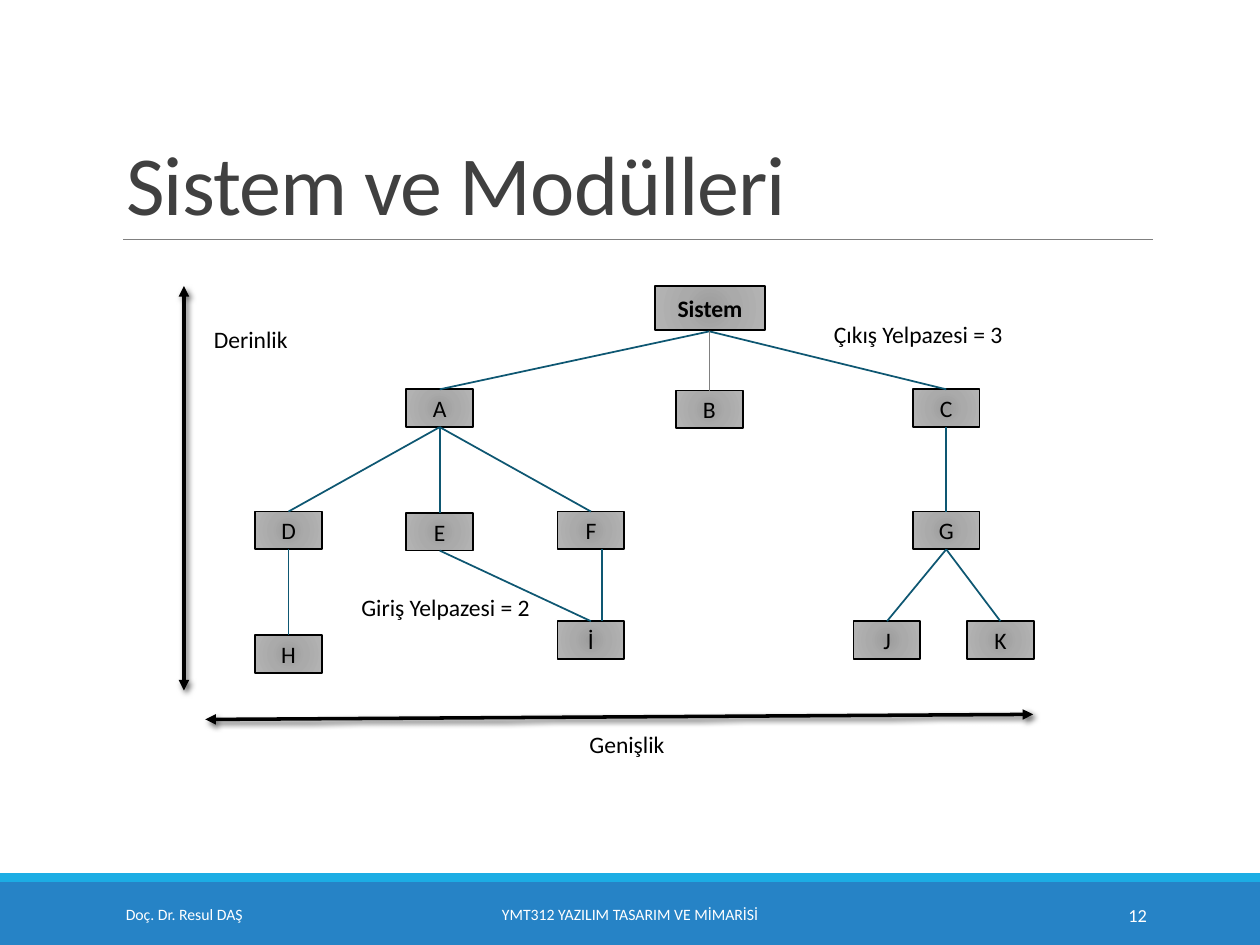
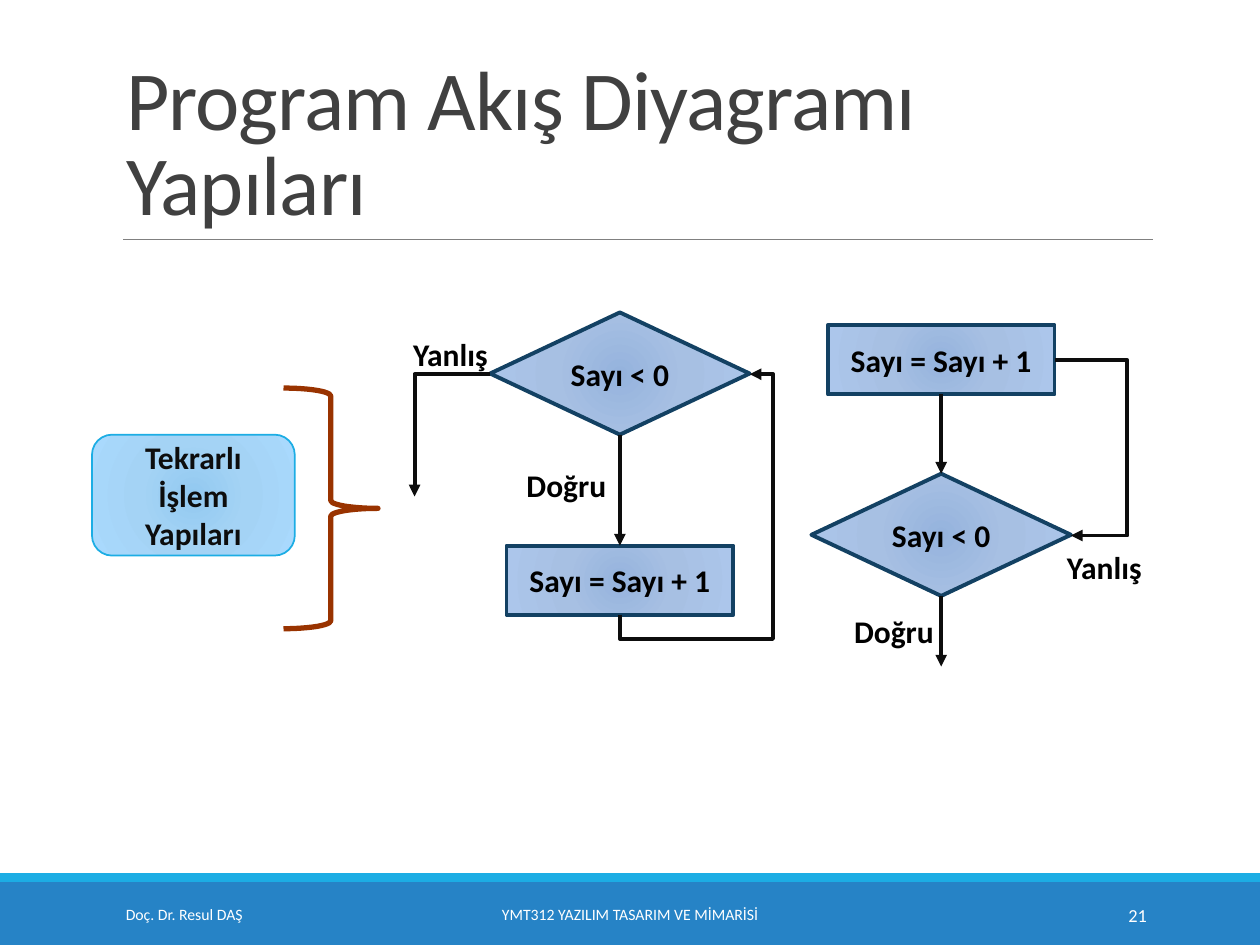
from lxml.etree import SubElement
from pptx import Presentation
from pptx.dml.color import RGBColor
from pptx.enum.shapes import MSO_CONNECTOR as Link, MSO_SHAPE as Shape
from pptx.enum.text import MSO_ANCHOR as Anchor, MSO_AUTO_SIZE as AutoSize, PP_ALIGN as Align
from pptx.oxml.ns import qn
from pptx.util import Inches, Pt

COLORS = {
    "band": "2683C6", "accent": "1CADE4", "rule": "808080", "title": "404040",
    "white": "FFFFFF", "black": "000000", "ink": "0D0D0D", "edge": "0E5772",
    "flow": "134163", "brace": "993300",
}
GRADIENTS = {
    "gray": ("9C9C9C", "AAAAAA", "B4B4B4"),
    "blue": ("95B3DD", "A7C0E3", "ACC6EB"),
    "sky": ("92C9F0", "A4D3F5", "A9D9FD"),
}
STOPS = (0, 45, 100)
FONT = "Calibri"
TITLE_ONLY = 5


def inches(*lengths):
    return [Inches(length) for length in lengths]


def add_xml(parent, tag, **attributes):
    return SubElement(parent, qn(tag), {name: str(value) for name, value in attributes.items()})


class LessonDeck:
    def __init__(self):
        self.deck = Presentation()
        self.deck.slide_width, self.deck.slide_height = inches(10, 7.5)
        self.page = None

    def color(self, name):
        return RGBColor.from_string(COLORS[name])

    def new_page(self, title, number):
        self.page = self.deck.slides.add_slide(self.deck.slide_layouts[TITLE_ONLY])
        self.shape(Shape.RECTANGLE, (0, 7, 10, 0.5), "band")
        self.shape(Shape.RECTANGLE, (0, 6.93, 10, 0.07), "accent")
        self.line((0.98, 1.9), (9.15, 1.9), "rule", 0.5)
        self.title(title)
        self.footer("Doç. Dr. Resul DAŞ", 0.9, 2.03, Align.LEFT)
        self.footer("YMT312 YAZILIM TASARIM VE MİMARİSİ", 3.02, 3.96, Align.CENTER)
        self.footer(str(number), 8.12, 1.08, Align.RIGHT, 10.5)

    def add_text(self, frame, text, size, color="black", bold=False, align=Align.LEFT):
        para = frame.paragraphs[0]
        para.alignment = align
        span = para.add_run()
        span.text = text
        span.font.name = FONT
        span.font.size = Pt(size)
        span.font.bold = bold
        span.font.color.rgb = self.color(color)
        return para, span

    def title(self, text):
        box = self.page.shapes.title
        box.left, box.top, box.width, box.height = inches(0.9, 0.31, 8.25, 1.59)
        frame = box.text_frame
        frame.auto_size = AutoSize.NONE
        frame.word_wrap = True
        frame.vertical_anchor = Anchor.BOTTOM
        para, span = self.add_text(frame, text, 48, "title")
        para.line_spacing = 0.85
        span.font._element.set("spc", "-50")

    def footer(self, text, left, width, align, size=9):
        box = self.page.shapes.add_textbox(*inches(left, 7.06, width, 0.4))
        frame = box.text_frame
        frame.word_wrap = True
        frame.vertical_anchor = Anchor.MIDDLE
        self.add_text(frame, text, size, "white", align=align)

    def label(self, text, left, top, width, height, size, bold=False):
        box = self.page.shapes.add_textbox(*inches(left, top, width, height))
        frame = box.text_frame
        frame.word_wrap = False
        frame.auto_size = AutoSize.SHAPE_TO_FIT_TEXT
        self.add_text(frame, text, size, bold=bold)

    def shape(self, kind, place, fill=None, outline=None, weight=1.0):
        shape = self.page.shapes.add_shape(kind, *inches(*place))
        shape.shadow.inherit = False
        if fill in GRADIENTS:
            self.radial_fill(shape, GRADIENTS[fill])
        elif fill:
            shape.fill.solid()
            shape.fill.fore_color.rgb = self.color(fill)
        else:
            shape.fill.background()
        if outline:
            shape.line.color.rgb = self.color(outline)
            shape.line.width = Pt(weight)
        else:
            shape.line.fill.background()
        return shape

    def radial_fill(self, shape, shades):
        shape.fill.gradient()
        gradient = shape._element.spPr.find(qn("a:gradFill"))
        for child in list(gradient):
            gradient.remove(child)
        stops = add_xml(gradient, "a:gsLst")
        for position, shade in zip(STOPS, shades):
            stop = add_xml(stops, "a:gs", pos=position * 1000)
            add_xml(stop, "a:srgbClr", val=shade)
        circle = add_xml(gradient, "a:path", path="circle")
        add_xml(circle, "a:fillToRect", **dict.fromkeys("ltrb", 100000))

    def block(self, kind, place, text, fill, outline, weight, size, color="black", bold=True):
        shape = self.shape(kind, place, fill, outline, weight)
        frame = shape.text_frame
        frame.word_wrap = True
        frame.vertical_anchor = Anchor.MIDDLE
        self.add_text(frame, text, size, color, bold, Align.CENTER)

    def line(self, start, end, color, weight, ends=(), shadow=False, kind=Link.STRAIGHT):
        line = self.page.shapes.add_connector(kind, *inches(*start, *end))
        line.line.color.rgb = self.color(color)
        line.line.width = Pt(weight)
        properties = line._element.spPr
        for end_name in ends:
            add_xml(properties.find(qn("a:ln")), f"a:{end_name}End", type="triangle")
        effects = add_xml(properties, "a:effectLst")
        if shadow:
            outer = add_xml(effects, "a:outerShdw", blurRad=Pt(3), dist=Pt(2),
                            dir=45 * 60000, algn="tl", rotWithShape=0)
            add_xml(add_xml(outer, "a:srgbClr", val=COLORS["black"]), "a:alpha", val=60000)
        return line

    def span_arrow(self, start, end):
        self.line(start, end, "black", 2, ("head", "tail"), shadow=True)

    def flow_arrow(self, start, end):
        self.line(start, end, "ink", 2.25, ("tail",))

    def bent_arrow(self, place, bends, turn=0, flips="", adjust=()):
        left, top, width, height = place
        arrow = self.line((left, top), (left + width, top + height), "ink", 2.25,
                          ("tail",), kind=Link.ELBOW)
        properties = arrow._element.spPr
        frame = properties.find(qn("a:xfrm"))
        frame.set("rot", str(turn * 60000))
        for flip in flips:
            frame.set(f"flip{flip}", "1")
        geometry = properties.find(qn("a:prstGeom"))
        geometry.set("prst", f"bentConnector{bends}")
        guides = geometry.find(qn("a:avLst"))
        for index, value in enumerate(adjust, 1):
            add_xml(guides, "a:gd", name=f"adj{index}", fmla=f"val {round(value * 100000)}")


def module_tree(deck):
    deck.new_page("Sistem ve Modülleri", 12)
    node_width, node_height = 0.53, 0.3
    modules = {
        "A": (3.49, 3.09), "D": (2.29, 4.06), "E": (3.49, 4.07), "F": (4.69, 4.06),
        "H": (2.29, 5.04), "İ": (4.69, 4.93), "B": (5.63, 3.1), "C": (7.51, 3.09),
        "G": (7.51, 4.06), "J": (7.04, 4.93), "K": (7.94, 4.93),
    }
    deck.block(Shape.RECTANGLE, (5.2, 2.27, 0.87, 0.35), "Sistem", "gray", "black", 1, 13.5)
    for name, (center, top) in modules.items():
        place = (center - node_width / 2, top, node_width, node_height)
        deck.block(Shape.RECTANGLE, place, name, "gray", "black", 1, 13.5, bold=False)

    system_foot = (5.63, 2.63)
    for name in "AC":
        deck.line(system_foot, modules[name], "edge", 1)
    deck.line(system_foot, modules["B"], "rule", 0.5)
    for parent, children in {"A": "DEF", "D": "H", "E": "İ", "C": "G", "G": "JK"}.items():
        center, top = modules[parent]
        for child in children:
            deck.line((center, top + node_height), modules[child], "edge", 1)
    deck.line((4.78, 4.36), (4.78, 4.93), "edge", 1)

    deck.span_arrow((1.46, 2.27), (1.46, 5.48))
    deck.span_arrow((1.63, 5.71), (8.2, 5.67))
    for text, left, top, width in (
        ("Derinlik", 1.6, 2.53, 0.8), ("Genişlik", 4.58, 5.74, 0.81),
        ("Çıkış Yelpazesi = 3", 6.52, 2.49, 1.56), ("Giriş Yelpazesi = 2", 2.77, 4.66, 1.56),
    ):
        deck.label(text, left, top, width, 0.33, 13.5)


def loop_flowcharts(deck):
    deck.new_page("Program Akış Diyagramı Yapıları", 21)
    deck.block(Shape.ROUNDED_RECTANGLE, (0.73, 3.45, 1.61, 0.96), "Tekrarlı İşlem Yapıları",
               "sky", "accent", 1, 18, "ink")
    deck.shape(Shape.RIGHT_BRACE, (2.25, 3.08, 0.75, 1.91), outline="brace", weight=3)
    for center, test_top, step_top in ((4.92, 2.48, 4.33), (7.47, 3.76, 2.58)):
        deck.block(Shape.DIAMOND, (center - 1.03, test_top, 2.06, 0.97), "Sayı < 0",
                   "blue", "flow", 2.25, 18)
        deck.block(Shape.RECTANGLE, (center - 0.9, step_top, 1.8, 0.55), "Sayı = Sayı + 1",
                   "blue", "flow", 2.25, 18)
    for center, top, bottom in ((4.92, 3.45, 4.33), (7.47, 3.13, 3.76), (7.47, 4.73, 5.29)):
        deck.flow_arrow((center, top), (center, bottom))
    deck.bent_arrow((3.29, 2.97, 0.6, 0.97), 2, turn=180, flips="V")
    deck.bent_arrow((4.48, 3.41, 1.91, 1.03), 4, turn=90, flips="HV", adjust=(-0.1, 1.18))
    deck.bent_arrow((8.37, 2.86, 0.13, 1.39), 3, adjust=(4.45,))
    for text, left, top, width in (
        ("Doğru", 4.08, 3.65, 0.84), ("Yanlış", 3.18, 2.61, 0.8),
        ("Doğru", 6.68, 4.81, 0.84), ("Yanlış", 8.37, 4.3, 0.8),
    ):
        deck.label(text, left, top, width, 0.4, 18, bold=True)


def main():
    lesson = LessonDeck()
    module_tree(lesson)
    loop_flowcharts(lesson)
    lesson.deck.save("out.pptx")


if __name__ == "__main__":
    main()
